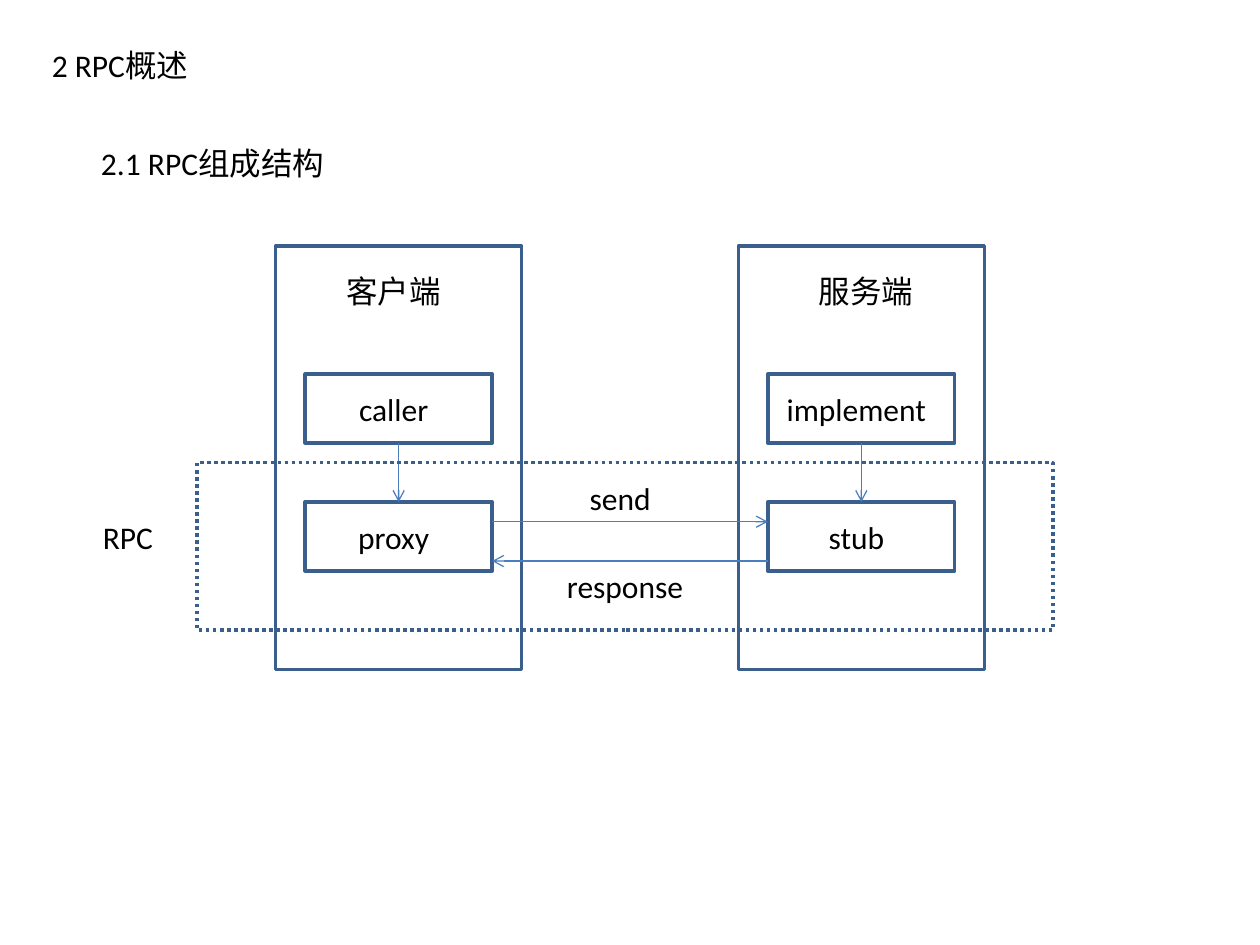
from lxml.etree import SubElement
from pptx import Presentation
from pptx.dml.color import RGBColor
from pptx.enum.dml import MSO_LINE
from pptx.enum.shapes import MSO_CONNECTOR, MSO_SHAPE
from pptx.enum.text import MSO_AUTO_SIZE, PP_ALIGN
from pptx.oxml.ns import qn
from pptx.util import Inches, Pt

COLS, ROWS = 64, 48
WIDTH, HEIGHT = Inches(10), Inches(7.5)
BORDER, ARROW = "3A5F8C", "4B7EBC"


def x(cols):
    """Turn grid columns into a length."""
    return round(WIDTH * cols / COLS)


def y(rows):
    """Turn grid rows into a length."""
    return round(HEIGHT * rows / ROWS)


def set_color(fmt, color):
    """Apply a hex colour to a font, fill or line colour."""
    fmt.rgb = RGBColor.from_string(color)


def add_box(s, col, row, cols, rows, dash=None):
    """Add an unfilled outlined rectangle."""
    sp = s.shapes.add_shape(MSO_SHAPE.RECTANGLE, x(col), y(row), x(cols), y(rows))
    sp.shadow.inherit = False
    sp.fill.background()
    set_color(sp.line.color, BORDER)
    sp.line.width = Pt(2)
    if dash:
        sp.line.dash_style = dash
    return sp


def add_text(s, text, col, row, cols, align=PP_ALIGN.CENTER, size=18,
             font="Calibri", color="000000"):
    """Add a one-line text box."""
    sp = s.shapes.add_textbox(x(col), y(row), x(cols), y(2.6))
    tf = sp.text_frame
    tf.word_wrap = True
    tf.auto_size = MSO_AUTO_SIZE.SHAPE_TO_FIT_TEXT
    p = tf.paragraphs[0]
    p.alignment = align
    r = p.add_run()
    r.text = text
    r.font.size, r.font.name = Pt(size), font
    set_color(r.font.color, color)


def add_arrow(s, start=(0, 0), end=(0, 0), upper=None, lower=None):
    """Add an arrow between grid points, or from one box down to another."""
    sp = s.shapes.add_connector(MSO_CONNECTOR.STRAIGHT, x(start[0]), y(start[1]),
                                x(end[0]), y(end[1]))
    if upper is not None:
        sp.begin_connect(upper, 2)
        sp.end_connect(lower, 0)
    set_color(sp.line.color, ARROW)
    sp.line.width = Pt(0.75)
    SubElement(sp.line._get_or_add_ln(), qn("a:tailEnd"), type="arrow")
    SubElement(sp._element.spPr, qn("a:effectLst"))


def add_peer(s, col, title, title_col, upper_text, lower_text):
    """Add one side of the call: a frame with two linked parts."""
    add_box(s, col, 12.5, 12.5, 21.5)
    add_text(s, title, title_col, 13.5, 7)
    upper, lower = [add_box(s, col + 1.5, row, 9.5, 3.5) for row in (19, 25.5)]
    add_text(s, upper_text, col + 0.5, 19.5, 11)
    add_text(s, lower_text, col + 2.5, 26, 7)
    add_arrow(s, upper=upper, lower=lower)


def main():
    """Build the slide and save it."""
    prs = Presentation()
    prs.slide_width, prs.slide_height = WIDTH, HEIGHT
    s = prs.slides.add_slide(prs.slide_layouts[6])

    add_text(s, "2 RPC概述", 2, 2, 10.5, align=PP_ALIGN.LEFT)
    add_text(s, "2.1 RPC组成结构", 4.5, 7, 15, align=PP_ALIGN.LEFT)

    add_peer(s, 14, "客户端", 16.5, "caller", "proxy")
    add_peer(s, 37.5, "服务端", 40.5, "implement", "stub")

    client_side, server_side = 25, 39
    add_arrow(s, (client_side, 26.5), (server_side, 26.5))
    add_arrow(s, (server_side, 28.5), (client_side, 28.5))
    add_text(s, "send", 28.5, 24, 6)
    add_text(s, "response", 27.5, 28.5, 8.5)

    add_box(s, 10, 23.5, 43.5, 8.5, dash=MSO_LINE.ROUND_DOT)
    add_text(s, "RPC", 4, 26, 5)
    prs.save("out.pptx")


if __name__ == "__main__":
    main()
